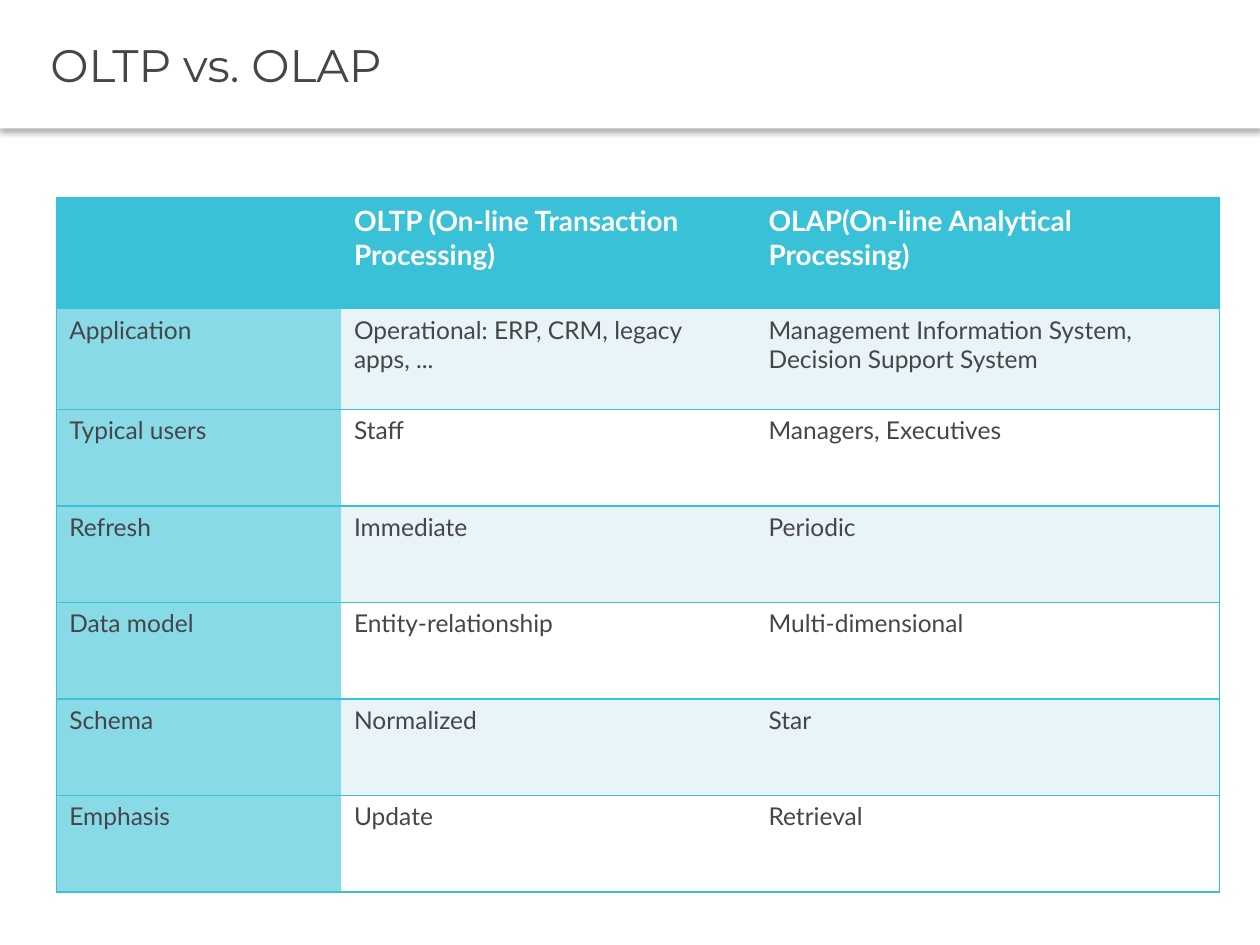
from typing import NamedTuple

from lxml import etree
from pptx import Presentation
from pptx.dml.color import RGBColor
from pptx.enum.text import MSO_ANCHOR, MSO_AUTO_SIZE, PP_ALIGN
from pptx.oxml import parse_xml
from pptx.oxml.ns import nsdecls, qn
from pptx.util import Inches, Pt

LEFT = PP_ALIGN.LEFT
TOP, MIDDLE = MSO_ANCHOR.TOP, MSO_ANCHOR.MIDDLE
NO_FIT = MSO_AUTO_SIZE.NONE
TITLE_ONLY = 5

COLORS = {
    "white": "FFFFFF",
    "text": "464547",
    "accent": "39C2D7",
    "label": "88DAE7",
    "band": "E8F4F8",
    "shadow": "000000",
}

TABLE_LEFT, TABLE_TOP, TABLE_HEIGHT = 0.45, 1.57, 5.51
COLUMN_WIDTHS = (2.26, 3.29, 3.68)
HEADER_HEIGHT, FIRST_HEIGHT = 0.88, 0.8


class Comparison(NamedTuple):
    """One table row: an aspect and how both systems treat it."""

    aspect: str
    oltp: str
    olap: str


class TextStyle(NamedTuple):
    """Font settings of a text run."""

    font: str
    size: float
    color: str
    bold: bool = False


TITLE_STYLE = TextStyle("Montserrat", 26, "text")
HEADER_STYLE = TextStyle("Lato", 16, "white", True)
BODY_STYLE = TextStyle("Lato", 14, "text")

ROWS = (
    Comparison("", "OLTP (On-line Transaction Processing)", "OLAP(On-line Analytical Processing)"),
    Comparison("Application", "Operational: ERP, CRM, legacy apps, ...",
               "Management Information System, Decision Support System"),
    Comparison("Typical users", "Staff", "Managers, Executives"),
    Comparison("Refresh", "Immediate", "Periodic"),
    Comparison("Data model", "Entity-relationship", "Multi-dimensional"),
    Comparison("Schema", "Normalized", "Star"),
    Comparison("Emphasis", "Update", "Retrieval"),
)


def rgb(name: str) -> RGBColor:
    """Look up a palette colour."""
    return RGBColor.from_string(COLORS[name])


def write(frame, text: str, style: TextStyle) -> None:
    """Put styled, left-aligned text into a text frame."""
    frame.text = text
    para = frame.paragraphs[0]
    para.alignment = LEFT
    for span in para.runs:
        span.font.name = style.font
        span.font.size = Pt(style.size)
        span.font.bold = style.bold
        span.font.color.rgb = rgb(style.color)


def add_shadow(box) -> None:
    """Give a shape a soft shadow straight below it."""
    box._element.spPr.append(parse_xml(
        f'<a:effectLst {nsdecls("a")}>'
        f'<a:outerShdw blurRad="{Pt(3.1)}" dist="{Pt(2)}" dir="5400000" rotWithShape="0">'
        f'<a:srgbClr val="{COLORS["shadow"]}"><a:alpha val="30000"/></a:srgbClr>'
        '</a:outerShdw></a:effectLst>'))


def set_borders(cell, sides: str) -> None:
    """Draw the named sides (L, R, T, B) of a cell and clear the others."""
    properties = cell._tc.get_or_add_tcPr()
    for position, side in enumerate("LRTB"):
        line = etree.Element(qn(f"a:ln{side}"), w=str(Pt(1)))
        if side in sides:
            fill = etree.SubElement(line, qn("a:solidFill"))
            etree.SubElement(fill, qn("a:srgbClr"), val=COLORS["accent"])
        else:
            etree.SubElement(line, qn("a:noFill"))
        properties.insert(position, line)


def cell_color(row: int, column: int) -> str:
    """Choose the fill for a header, label or banded cell."""
    if row == 0:
        return "accent"
    if column == 0:
        return "label"
    return "band" if row % 2 else "white"


def add_title(page, text: str, width: int) -> None:
    """Turn the title placeholder into the full-width header bar."""
    box = page.shapes.title
    box.left, box.top, box.width, box.height = 0, 0, width, Inches(1.02)
    box.fill.solid()
    box.fill.fore_color.rgb = rgb("white")
    box.line.fill.background()
    add_shadow(box)
    frame = box.text_frame
    frame.auto_size = NO_FIT
    frame.word_wrap = True
    frame.vertical_anchor = MIDDLE
    frame.margin_left, frame.margin_right = Inches(0.4), Inches(0.1)
    frame.margin_top = frame.margin_bottom = Inches(0.05)
    write(frame, text, TITLE_STYLE)


def add_comparison(page) -> None:
    """Add the comparison table."""
    last = len(COLUMN_WIDTHS) - 1
    table = page.shapes.add_table(
        len(ROWS), len(COLUMN_WIDTHS), Inches(TABLE_LEFT), Inches(TABLE_TOP),
        Inches(sum(COLUMN_WIDTHS)), Inches(TABLE_HEIGHT)).table
    for column, width in zip(table.columns, COLUMN_WIDTHS):
        column.width = Inches(width)
    other = (TABLE_HEIGHT - HEADER_HEIGHT - FIRST_HEIGHT) / (len(ROWS) - 2)
    heights = [HEADER_HEIGHT, FIRST_HEIGHT] + [other] * (len(ROWS) - 2)
    for row, (entry, height) in enumerate(zip(ROWS, heights)):
        table.rows[row].height = Inches(height)
        for column, text in enumerate(entry):
            cell = table.cell(row, column)
            cell.fill.solid()
            cell.fill.fore_color.rgb = rgb(cell_color(row, column))
            cell.vertical_anchor = TOP
            write(cell.text_frame, text, BODY_STYLE if row else HEADER_STYLE)
            set_borders(cell, "TB" + {0: "L", last: "R"}.get(column, ""))


def main() -> None:
    """Build and save the slide."""
    deck = Presentation()
    deck.slide_width, deck.slide_height = Inches(10), Inches(7.5)
    page = deck.slides.add_slide(deck.slide_layouts[TITLE_ONLY])
    add_title(page, "OLTP vs. OLAP", deck.slide_width)
    add_comparison(page)
    deck.save("out.pptx")


main()
